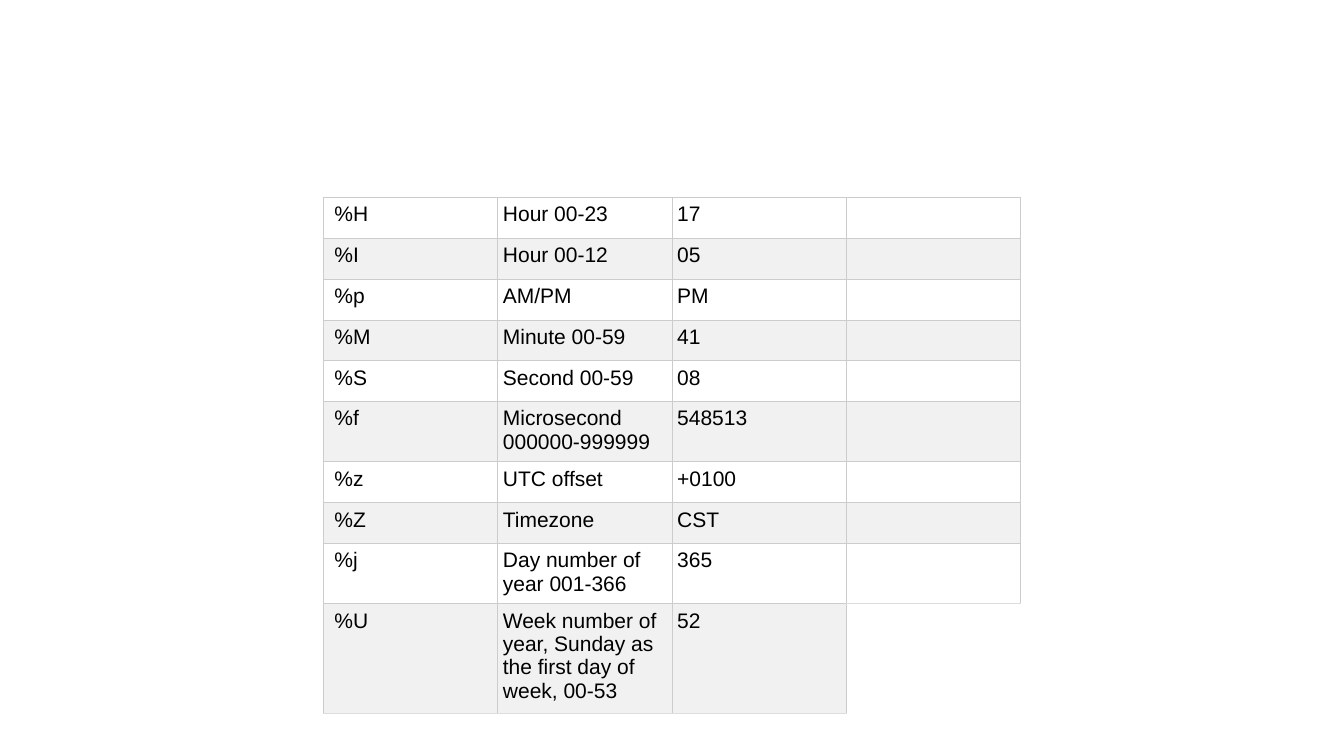
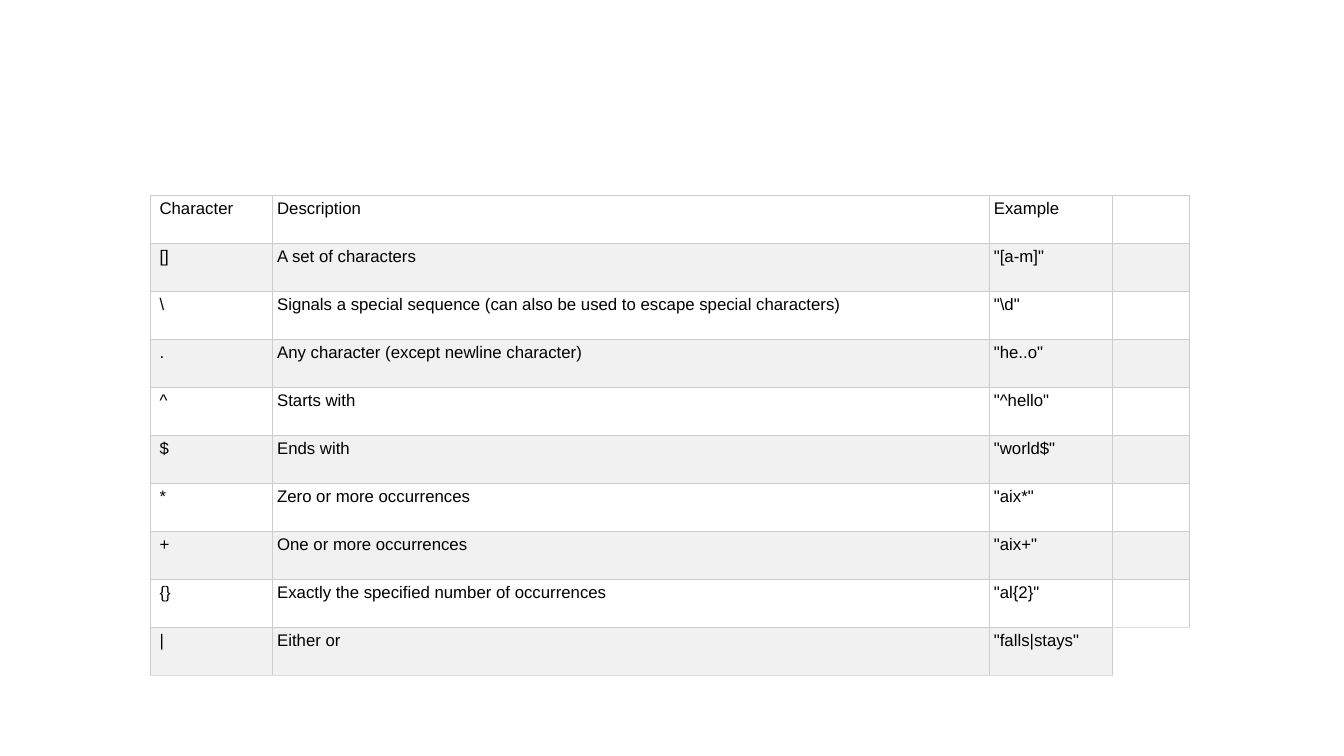
from dataclasses import dataclass

from lxml.etree import SubElement
from pptx import Presentation
from pptx.dml.color import RGBColor
from pptx.oxml.ns import qn
from pptx.slide import Slide
from pptx.table import _Cell as Cell
from pptx.util import Pt

BLACK = RGBColor(0x00, 0x00, 0x00)
WHITE = RGBColor(0xFF, 0xFF, 0xFF)
BAND = RGBColor(0xF1, 0xF1, 0xF1)
GRID = RGBColor(0xCC, 0xCC, 0xCC)
OUTER_EDGE = RGBColor(0xDD, 0xDD, 0xDD)
FONT_NAME = "Arial"
GRID_WIDTH = Pt(0.75)
BLANK_LAYOUT = 6


@dataclass(frozen=True)
class ReferenceTable:
    """Wording and measures of one table, in points; an empty column follows the text."""
    left: float
    top: float
    column_widths: list[float]
    row_heights: list[float]
    font_size: float
    margin: float
    first_margin: float
    rows: list[tuple[str, str, str]]


TIME_CODES = ReferenceTable(
    left=231, top=141,
    column_widths=[124.5] * 4,
    row_heights=[28] * 5 + [43, 28, 28, 43, 78],
    font_size=15, margin=3.75, first_margin=7.9,
    rows=[
        ("%H", "Hour 00-23", "17"),
        ("%I", "Hour 00-12", "05"),
        ("%p", "AM/PM", "PM"),
        ("%M", "Minute 00-59", "41"),
        ("%S", "Second 00-59", "08"),
        ("%f", "Microsecond 000000-999999", "548513"),
        ("%z", "UTC offset", "+0100"),
        ("%Z", "Timezone", "CST"),
        ("%j", "Day number of year 001-366", "365"),
        ("%U", "Week number of year, Sunday as the first day of week, 00-53", "52"),
    ],
)

PATTERN_CHARACTERS = ReferenceTable(
    left=107.5, top=139.5,
    column_widths=[87.5, 512, 87.5, 55],
    row_heights=[34.3] * 10,
    font_size=12, margin=3, first_margin=6.5,
    rows=[
        ("Character", "Description", "Example"),
        ("[]", "A set of characters", '"[a-m]"'),
        ("\\", "Signals a special sequence (can also be used to escape special characters)",
         '"\\d"'),
        (".", "Any character (except newline character)", '"he..o"'),
        ("^", "Starts with", '"^hello"'),
        ("$", "Ends with", '"world$"'),
        ("*", "Zero or more occurrences", '"aix*"'),
        ("+", "One or more occurrences", '"aix+"'),
        ("{}", "Exactly the specified number of occurrences", '"al{2}"'),
        ("|", "Either or", '"falls|stays"'),
    ],
)


def set_borders(cell: Cell, borders: dict[str, RGBColor | None]) -> None:
    """Draw each named side (L, R, T, B); None leaves that side without a line."""
    properties = cell._tc.get_or_add_tcPr()
    for side, color in borders.items():
        line = SubElement(properties, qn(f"a:ln{side}"), w=str(GRID_WIDTH))
        if color is None:
            SubElement(line, qn("a:noFill"))
        else:
            fill = SubElement(line, qn("a:solidFill"))
            SubElement(fill, qn("a:srgbClr"), val=str(color))


def write_text(cell: Cell, text: str, font_size: float, margin: float,
               left_margin: float) -> None:
    margins = {"margin_left": left_margin, "margin_right": margin,
               "margin_top": margin, "margin_bottom": margin}
    for name, value in margins.items():
        setattr(cell, name, Pt(value))
    run = cell.text_frame.paragraphs[0].add_run()
    run.text = text
    for name, value in {"name": FONT_NAME, "size": Pt(font_size)}.items():
        setattr(run.font, name, value)
    run.font.color.rgb = BLACK


def add_reference_table(slide: Slide, content: ReferenceTable) -> None:
    """Add a banded grid whose bottom right cell stays open."""
    row_count, column_count = len(content.rows), len(content.column_widths)
    table = slide.shapes.add_table(
        row_count, column_count, Pt(content.left), Pt(content.top),
        Pt(sum(content.column_widths)), Pt(sum(content.row_heights))).table
    table.first_row = table.horz_banding = False
    for column, width in zip(table.columns, content.column_widths):
        column.width = Pt(width)
    for row, height in zip(table.rows, content.row_heights):
        row.height = Pt(height)

    last_row, last_column = row_count - 1, column_count - 1
    for row_index, texts in enumerate(content.rows):
        for column_index in range(column_count):
            cell = table.cell(row_index, column_index)
            in_last_column = column_index == last_column
            is_open = in_last_column and row_index == last_row
            if is_open:
                set_borders(cell, {"L": GRID, "R": None, "T": OUTER_EDGE, "B": None})
                cell.fill.background()
                continue
            edge_row = last_row - 1 if in_last_column else last_row
            bottom = OUTER_EDGE if row_index == edge_row else GRID
            set_borders(cell, {"L": GRID, "R": GRID, "T": GRID, "B": bottom})
            cell.fill.solid()
            cell.fill.fore_color.rgb = BAND if row_index % 2 else WHITE
            if not in_last_column:
                left_margin = content.margin if column_index else content.first_margin
                write_text(cell, texts[column_index], content.font_size,
                           content.margin, left_margin)


def main() -> None:
    presentation = Presentation()
    presentation.slide_width, presentation.slide_height = Pt(960), Pt(540)
    for content in (TIME_CODES, PATTERN_CHARACTERS):
        slide = presentation.slides.add_slide(presentation.slide_layouts[BLANK_LAYOUT])
        add_reference_table(slide, content)
    presentation.save("out.pptx")


if __name__ == "__main__":
    main()
